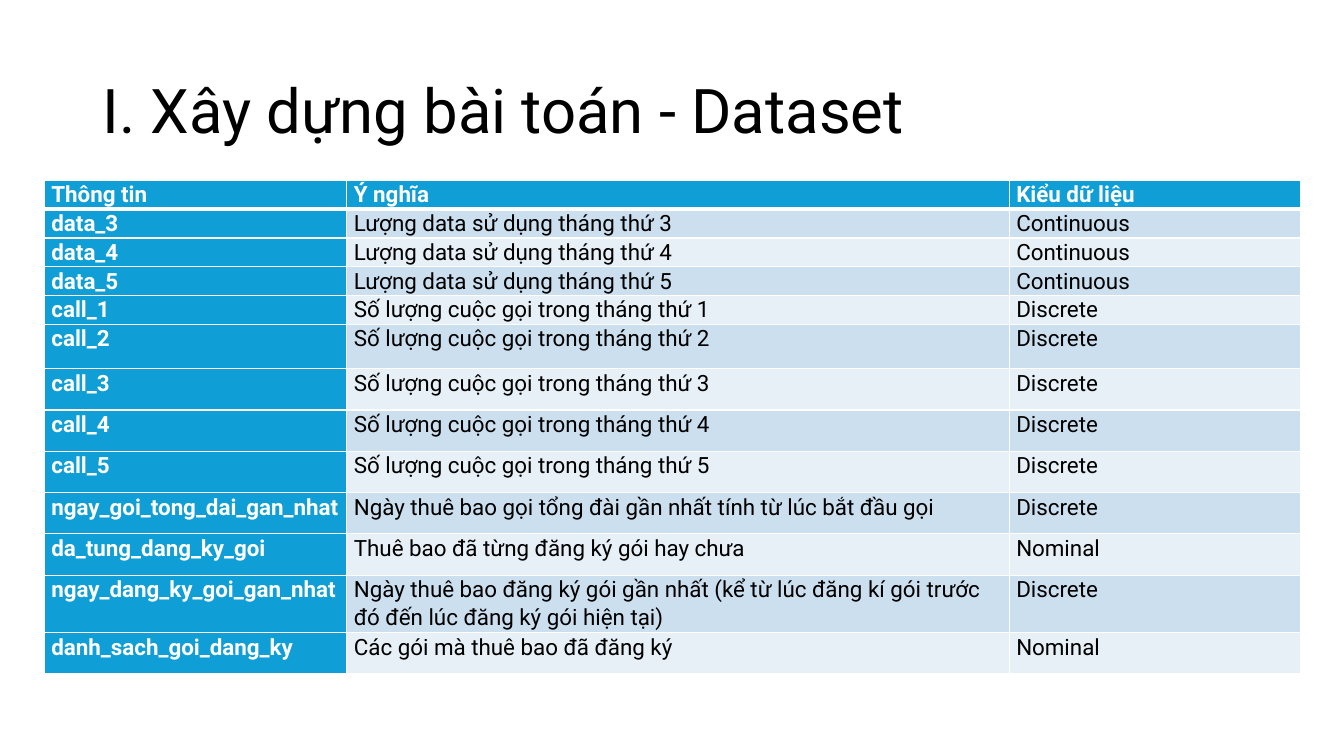
from lxml.etree import SubElement
from pptx import Presentation
from pptx.dml.color import RGBColor
from pptx.enum.text import MSO_ANCHOR
from pptx.oxml.ns import qn
from pptx.util import Inches, Pt

SLIDE_WIDTH, SLIDE_HEIGHT = 13.33, 7.5
FONT = "Roboto"
COLORS = {
    "text": "000000",
    "light": "FFFFFF",
    "accent": "0F9ED5",
    "odd_row": "CCDFEF",
    "even_row": "E7F0F7",
}

# Boxes: left, top, width, height in inches
TITLE_BOX = (0.92, 0.4, 11.5, 1.45)
TABLE_BOX = (0.44, 1.79, 12.46, 5)

COLUMN_SHARES = (3, 6.57, 2.89)
ROW_HEIGHTS = [0.22] * 5 + [0.44] + [0.41] * 7

HEADER = ("Thông tin", "Ý nghĩa", "Kiểu dữ liệu")
FIELDS = [
    *((f"data_{month}", f"Lượng data sử dụng tháng thứ {month}", "Continuous")
      for month in range(3, 6)),
    *((f"call_{month}", f"Số lượng cuộc gọi trong tháng thứ {month}", "Discrete")
      for month in range(1, 6)),
    ("ngay_goi_tong_dai_gan_nhat",
     "Ngày thuê bao gọi tổng đài gần nhất tính từ lúc bắt đầu gọi", "Discrete"),
    ("da_tung_dang_ky_goi", "Thuê bao đã từng đăng ký gói hay chưa", "Nominal"),
    ("ngay_dang_ky_goi_gan_nhat",
     "Ngày thuê bao đăng ký gói gần nhất (kể từ lúc đăng kí gói trước "
     "đó đến lúc đăng ký gói hiện tại)", "Discrete"),
    ("danh_sach_goi_dang_ky", "Các gói mà thuê bao đã đăng ký", "Nominal"),
]


def rgb(name):
    return RGBColor.from_string(COLORS[name])


def write_text(text_frame, text, size=16, color="text", bold=False,
               line_spacing=1.07, space_after=8):
    text_frame.word_wrap = True
    paragraph = text_frame.paragraphs[0]
    paragraph.line_spacing = line_spacing
    paragraph.space_after = Pt(space_after)
    run = paragraph.add_run()
    run.text = text
    run.font.name = FONT
    run.font.size = Pt(size)
    run.font.bold = bold
    run.font.color.rgb = rgb(color)


def set_borders(cell, top=1, bottom=1):
    properties = cell._tc.get_or_add_tcPr()
    for side, width in (("L", 1), ("R", 1), ("T", top), ("B", bottom)):
        line = SubElement(properties, qn(f"a:ln{side}"), w=str(Pt(width)))
        fill = SubElement(line, qn("a:solidFill"))
        SubElement(fill, qn("a:srgbClr"), val=COLORS["light"])


def add_title(slide, box, text):
    shape = slide.shapes.add_textbox(*map(Inches, box))
    shape.text_frame.vertical_anchor = MSO_ANCHOR.MIDDLE
    write_text(shape.text_frame, text, size=44, line_spacing=0.9, space_after=0)


def add_field_table(slide, box, rows):
    table = slide.shapes.add_table(
        len(rows), len(COLUMN_SHARES), *map(Inches, box)).table

    # Grid
    for column, share in zip(table.columns, COLUMN_SHARES):
        column.width = Inches(box[2] * share / sum(COLUMN_SHARES))
    for row, height in zip(table.rows, ROW_HEIGHTS):
        row.height = Inches(height)

    # Cells: accent header row and first column, banded body
    for row_index, values in enumerate(rows):
        band = "odd_row" if row_index % 2 else "even_row"
        for column_index, value in enumerate(values):
            heading = row_index == 0 or column_index == 0
            cell = table.cell(row_index, column_index)
            cell.margin_left = cell.margin_right = Inches(0.07)
            cell.margin_top = cell.margin_bottom = 0
            set_borders(cell, top=3 if row_index == 1 else 1,
                        bottom=3 if row_index == 0 else 1)
            cell.fill.solid()
            cell.fill.fore_color.rgb = rgb("accent" if heading else band)
            write_text(cell.text_frame, value, bold=heading,
                       color="light" if heading else "text")


def main():
    presentation = Presentation()
    presentation.slide_width = Inches(SLIDE_WIDTH)
    presentation.slide_height = Inches(SLIDE_HEIGHT)
    slide = presentation.slides.add_slide(presentation.slide_layouts[6])
    add_title(slide, TITLE_BOX, "I. Xây dựng bài toán - Dataset")
    add_field_table(slide, TABLE_BOX, [HEADER, *FIELDS])
    presentation.save("out.pptx")


if __name__ == "__main__":
    main()
